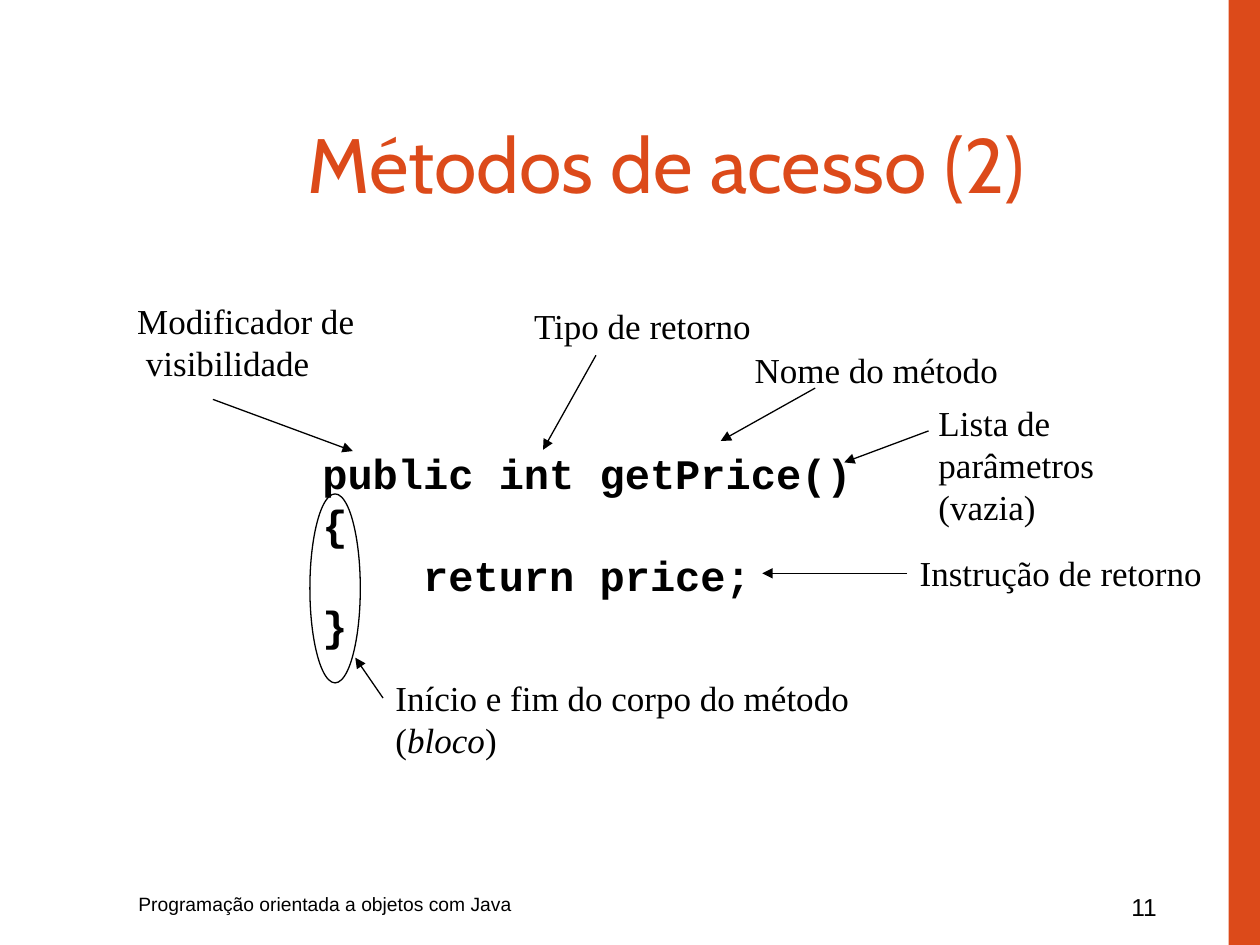
import pptx
import pptx.util
import pptx.dml.color
import pptx.enum.shapes
import pptx.enum.text
import pptx.oxml.ns
import lxml.etree

Inches = pptx.util.Inches
Pt = pptx.util.Pt
SHAPE = pptx.enum.shapes.MSO_SHAPE
ALIGN = pptx.enum.text.PP_ALIGN
COLORS = {"ink": "000000", "accent": "DC4A1A"}


def rgb(name):
    """Return the named colour."""
    return pptx.dml.color.RGBColor.from_string(COLORS[name])


def write(frame, text, font="Times New Roman", size=20, color="ink",
          bold=False, align=ALIGN.LEFT, lead=None):
    """Fill a frame line by line, with parts between asterisks in italics."""
    for row, line in enumerate(text.split("\n")):
        para = frame.add_paragraph() if row else frame.paragraphs[0]
        para.alignment = align
        if lead:
            para.line_spacing = Pt(lead)
        for part, words in enumerate(line.split("*")):
            run = para.add_run()
            run.text = words
            run.font.name = font
            run.font.size = Pt(size)
            run.font.bold = bold
            run.font.italic = part % 2 == 1
            run.font.color.rgb = rgb(color)


class Slide:
    """Holds the line style and the current slide."""

    def __init__(self, deck, width=0.75):
        """Add a title-only slide."""
        self.slide = deck.slides.add_slide(deck.slide_layouts[5])
        self.shapes = self.slide.shapes
        self.width = width

    def title(self, text, box):
        """Place and write the title."""
        title = self.shapes.title
        title.left, title.top, title.width, title.height = map(Inches, box)
        title.text_frame.vertical_anchor = pptx.enum.text.MSO_ANCHOR.MIDDLE
        write(title.text_frame, text, font="Cabin", size=44,
              color="accent", align=ALIGN.CENTER)

    def text(self, text, box, wrap=False, **style):
        """Add a text box."""
        item = self.shapes.add_textbox(*map(Inches, box))
        item.text_frame.word_wrap = wrap
        write(item.text_frame, text, **style)
        return item

    def shape(self, kind, box, fill=None, line=None):
        """Add a preset shape."""
        item = self.shapes.add_shape(kind, *map(Inches, box))
        item.shadow.inherit = False
        if fill:
            item.fill.solid()
            item.fill.fore_color.rgb = rgb(fill)
        else:
            item.fill.background()
        if line:
            item.line.color.rgb = rgb(line)
            item.line.width = Pt(self.width)
        else:
            item.line.fill.background()

    def arrow(self, start, end, label=None):
        """Add an arrow, joined to the left side of a label if given."""
        kind = pptx.enum.shapes.MSO_CONNECTOR.STRAIGHT
        item = self.shapes.add_connector(kind, *map(Inches, start + end))
        if label is not None:
            item.begin_connect(label, 1)
        item.line.color.rgb = rgb("ink")
        item.line.width = Pt(self.width)
        qn = pptx.oxml.ns.qn
        lxml.etree.SubElement(item.line._get_or_add_ln(), qn("a:tailEnd"), type="triangle")
        lxml.etree.SubElement(item._element.spPr, qn("a:effectLst"))


def main():
    """Build the slide on accessor methods."""
    deck = pptx.Presentation()
    deck.slide_width, deck.slide_height = Inches(10), Inches(7.5)
    page = Slide(deck)
    page.shape(SHAPE.RECTANGLE, (9.75, 0, 0.25, 7.5), fill="accent")
    page.title("Métodos de acesso (2)", (1.08, 0.67, 8.42, 1.25))

    page.text("public int getPrice()\n{\n    return price;\n}",
              (2.46, 3.5, 4.4, 1.7), font="Courier New", size=24, bold=True, lead=29)
    page.shape(SHAPE.OVAL, (2.46, 3.92, 0.4, 1.5), line="ink")

    labels = [
        ("Modificador de\n visibilidade", (0.99, 2.33, 1.92, 0.77)),
        ("Tipo de retorno", (4.14, 2.37, 2, 0.44)),
        ("Nome do método", (5.89, 2.72, 2.2, 0.44)),
    ]
    for text, box in labels:
        page.text(text, box, lead=24)
    page.text("Lista de parâmetros (vazia)", (7.35, 3.14, 2.26, 1.1), wrap=True, lead=24)
    result = page.text("Instrução de retorno", (7.2, 4.33, 2.51, 0.44), lead=24)
    block = page.text("Início e fim do corpo do método (*bloco*)",
                      (3.04, 5.32, 4.67, 0.44), lead=24)

    arrows = [
        ((1.69, 3.17), (2.8, 3.58), None),
        ((4.73, 2.82), (4.31, 3.57), None),
        ((6.47, 3.08), (5.72, 3.5), None),
        ((7.37, 3.42), (6.7, 3.67), None),
        ((7.2, 4.55), (6.05, 4.55), result),
        ((3.04, 5.54), (2.82, 5.22), block),
    ]
    for start, end, label in arrows:
        page.arrow(start, end, label)

    page.text("Programação orientada a objetos com Java", (1, 7.03, 8.5, 0.33),
              wrap=True, font="Arial", size=11)
    page.text("11", (8.75, 7.03, 0.53, 0.33), wrap=True,
              font="Arial", size=14, align=ALIGN.RIGHT)
    deck.save("out.pptx")


if __name__ == "__main__":
    main()
